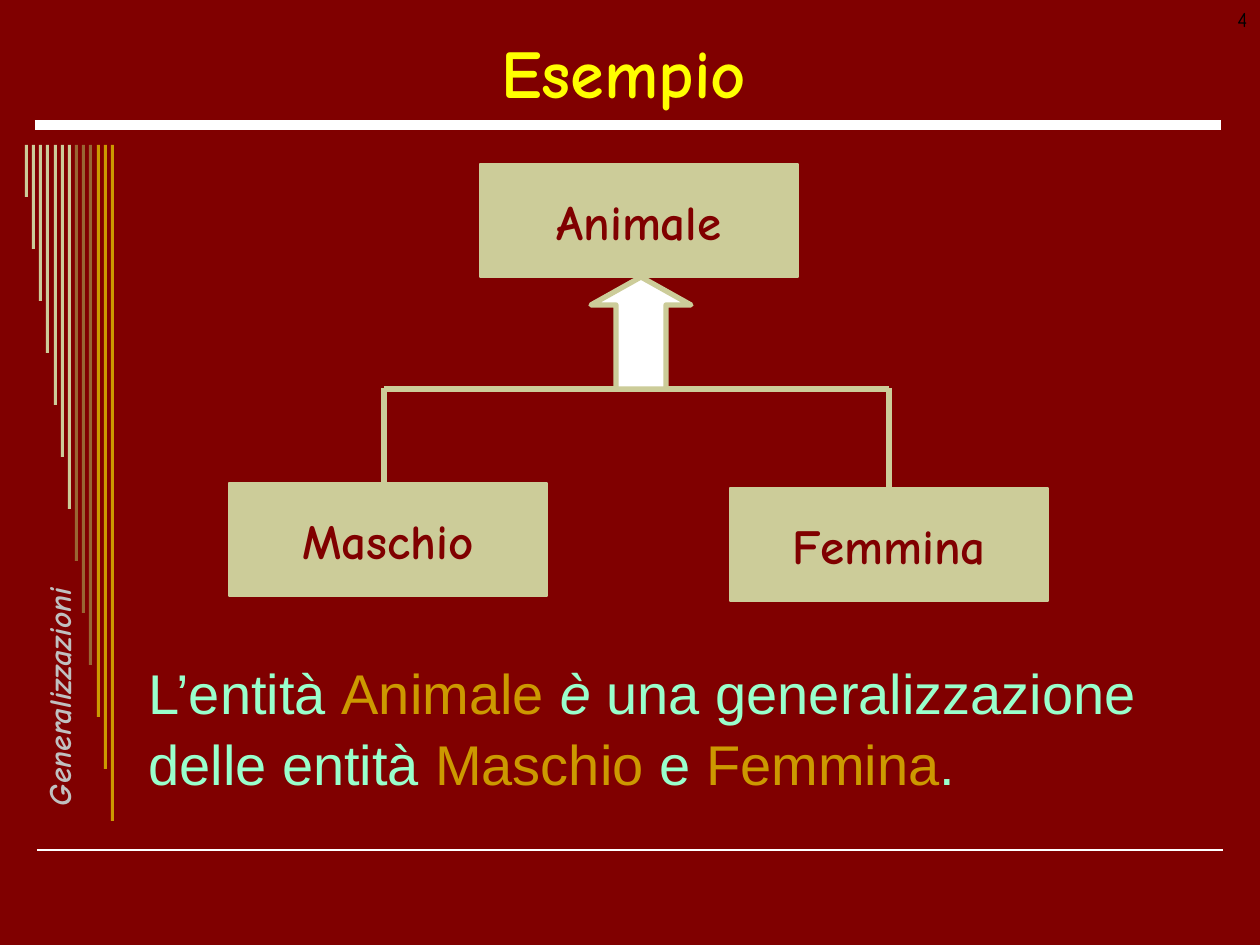
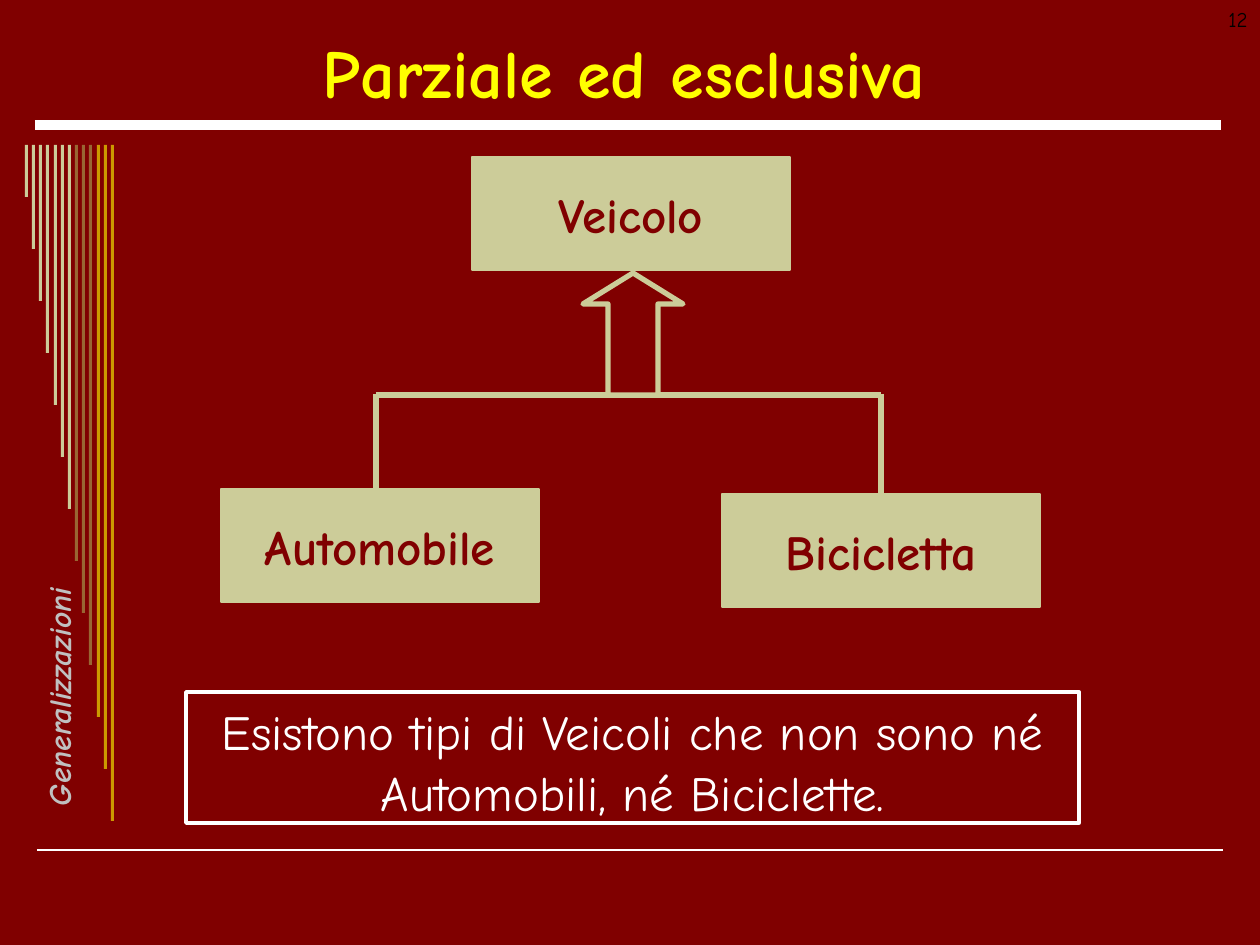
from dataclasses import dataclass

from lxml.etree import SubElement
from pptx import Presentation
from pptx.dml.color import RGBColor as Rgb
from pptx.enum.shapes import MSO_CONNECTOR as Connector, MSO_SHAPE as Preset
from pptx.enum.text import MSO_ANCHOR as Anchor, PP_ALIGN as Align
from pptx.oxml.ns import qn
from pptx.util import Pt

EMU_PER_PX = 914400 / 126
BLANK_LAYOUT = 6


@dataclass(frozen=True)
class Theme:
    # Colours
    maroon: str = "800000"
    sand: str = "CCCC99"
    brown: str = "996633"
    gold: str = "CC9900"
    mint: str = "99FFCC"
    yellow: str = "FFFF00"
    silver: str = "C0C0C0"
    white: str = "FFFFFF"
    black: str = "000000"
    # Fonts and type sizes
    display: str = "Comic Neue"
    body: str = "Arial"
    title_size: int = 39
    body_size: int = 32
    entity_size: int = 28
    topic_size: int = 18
    number_size: int = 12


THEME = Theme()
ENTITY_WIDTH, ENTITY_HEIGHT = 318, 113
ARROW_WIDTH = 100


def px(*lengths):
    return [round(length * EMU_PER_PX) for length in lengths]


def set_values(target, values):
    for name, value in values.items():
        setattr(target, name, value)


def font_format(size, color, name=THEME.display, **more):
    return {"name": name, "size": Pt(size), "color": color, **more}


def set_font(font, values):
    values = dict(values)
    font.color.rgb = Rgb.from_string(values.pop("color"))
    set_values(font, values)


# Kinds of element

def add_box(slide, bounds, fill=None, line=None, line_width=0.75,
            preset=Preset.RECTANGLE):
    shape = slide.shapes.add_shape(preset, *px(*bounds))
    shape.shadow.inherit = False
    if fill:
        shape.fill.solid()
        shape.fill.fore_color.rgb = Rgb.from_string(fill)
    else:
        shape.fill.background()
    if line:
        shape.line.color.rgb = Rgb.from_string(line)
        shape.line.width = Pt(line_width)
    else:
        shape.line.fill.background()
    return shape


def add_line(slide, start, end, color, width):
    line = slide.shapes.add_connector(Connector.STRAIGHT, *px(*start, *end))
    line.line.color.rgb = Rgb.from_string(color)
    line.line.width = Pt(width)
    SubElement(line._element.spPr, qn("a:effectLst"))


def write(shape, runs, font, align=Align.LEFT, anchor=Anchor.TOP, wrap=True,
          line_spacing=None):
    """Each run is a text with the font values that differ from the base."""
    frame = shape.text_frame
    set_values(frame, {"word_wrap": wrap, "vertical_anchor": anchor})
    paragraph = frame.paragraphs[0]
    set_values(paragraph, {"alignment": align, "line_spacing": line_spacing})
    for text, changes in runs:
        run = paragraph.add_run()
        run.text = text
        set_font(run.font, {**font, **changes})


def add_text(slide, bounds, runs, font, **layout):
    shape = slide.shapes.add_textbox(*px(*bounds))
    write(shape, runs, font, **layout)
    return shape


def add_entity(slide, name, corner):
    shape = add_box(slide, (*corner, ENTITY_WIDTH, ENTITY_HEIGHT),
                    THEME.sand, THEME.sand)
    write(shape, [(name, {})],
          font_format(THEME.entity_size, THEME.maroon, bold=True),
          align=Align.CENTER, anchor=Anchor.MIDDLE, wrap=False)


def add_generalization(slide, entities, rail_y, arrow_top, arrow_fill, head):
    """Entities are the parent, the left child and the right child."""
    for name, corner in entities:
        add_entity(slide, name, corner)
    parent, left, right = [corner for _, corner in entities]

    # Rail with a drop to each child
    rail_left, rail_right = left[0] + 155, right[0] + 159
    for x, child in ((rail_left, left), (rail_right, right)):
        add_line(slide, (x, rail_y - 1), (x, child[1] + 2), THEME.sand, 3)
    add_line(slide, (rail_left, rail_y), (rail_right, rail_y), THEME.sand, 3)

    # Arrow up to the parent
    arrow_left = parent[0] + (ENTITY_WIDTH - ARROW_WIDTH) // 2 + 2
    arrow = add_box(
        slide, (arrow_left, arrow_top, ARROW_WIDTH, rail_y - arrow_top),
        arrow_fill, THEME.sand, 3, Preset.UP_ARROW)
    arrow.adjustments[1] = head


# What every slide shares

def add_stripes(slide):
    colors = [THEME.sand] * 7 + [THEME.brown] * 3 + [THEME.gold] * 3
    for index, color in enumerate(colors):
        left = 25 + round(index * 7.15)
        add_box(slide, (left, 145, 3, 52 * (index + 1)), color)


def add_slide(presentation, title, number):
    slide = presentation.slides.add_slide(
        presentation.slide_layouts[BLANK_LAYOUT])
    add_line(slide, (37, 850), (1223, 850), THEME.white, 1)
    add_line(slide, (35, 125), (1221, 125), THEME.white, 6)
    add_stripes(slide)
    topic = add_text(
        slide, (-95, 660, 287, 30), [("Generalizzazioni", {})],
        font_format(THEME.topic_size, THEME.silver, bold=True, italic=True),
        wrap=False)
    topic.rotation = 270
    add_text(slide, (44, 26, 1160, 90), [(title, {})],
             font_format(THEME.title_size, THEME.yellow, bold=True),
             align=Align.CENTER, anchor=Anchor.MIDDLE)
    add_text(slide, (966, 0, 294, 63), [(number, {})],
             font_format(THEME.number_size, THEME.black), align=Align.RIGHT)
    return slide


# The two slides

def build_example(presentation):
    slide = add_slide(presentation, "Esempio", "4")
    add_generalization(
        slide,
        [("Animale", (480, 164)), ("Maschio", (229, 483)),
         ("Femmina", (730, 488))],
        rail_y=389, arrow_top=277, arrow_fill=THEME.white, head=0.28)
    entity = {"color": THEME.gold}
    add_text(
        slide, (136, 649, 1068, 147),
        [("L’entità ", {}), ("Animale ", entity), ("è", {"italic": True}),
         (" una generalizzazione delle entità ", {}), ("Maschio", entity),
         (" e ", {}), ("Femmina", entity), (".", {})],
        font_format(THEME.body_size, THEME.mint, THEME.body),
        line_spacing=1.05)


def build_partial_exclusive(presentation):
    slide = add_slide(presentation, "Parziale ed esclusiva", "12")
    add_generalization(
        slide,
        [("Veicolo", (472, 157)), ("Automobile", (221, 489)),
         ("Bicicletta", (722, 494))],
        rail_y=395, arrow_top=273, arrow_fill=THEME.maroon, head=0.31)
    note = add_box(slide, (186, 692, 893, 131), line=THEME.white, line_width=2)
    write(note,
          [("Esistono tipi di Veicoli che non sono né Automobili, "
            "né Biciclette.", {})],
          font_format(THEME.entity_size, THEME.white),
          align=Align.CENTER, line_spacing=1.05)


def main():
    presentation = Presentation()
    width, height = px(1260, 945)
    set_values(presentation, {"slide_width": width, "slide_height": height})
    background = presentation.slide_master.background.fill
    background.solid()
    background.fore_color.rgb = Rgb.from_string(THEME.maroon)
    build_example(presentation)
    build_partial_exclusive(presentation)
    presentation.save("out.pptx")


if __name__ == "__main__":
    main()
